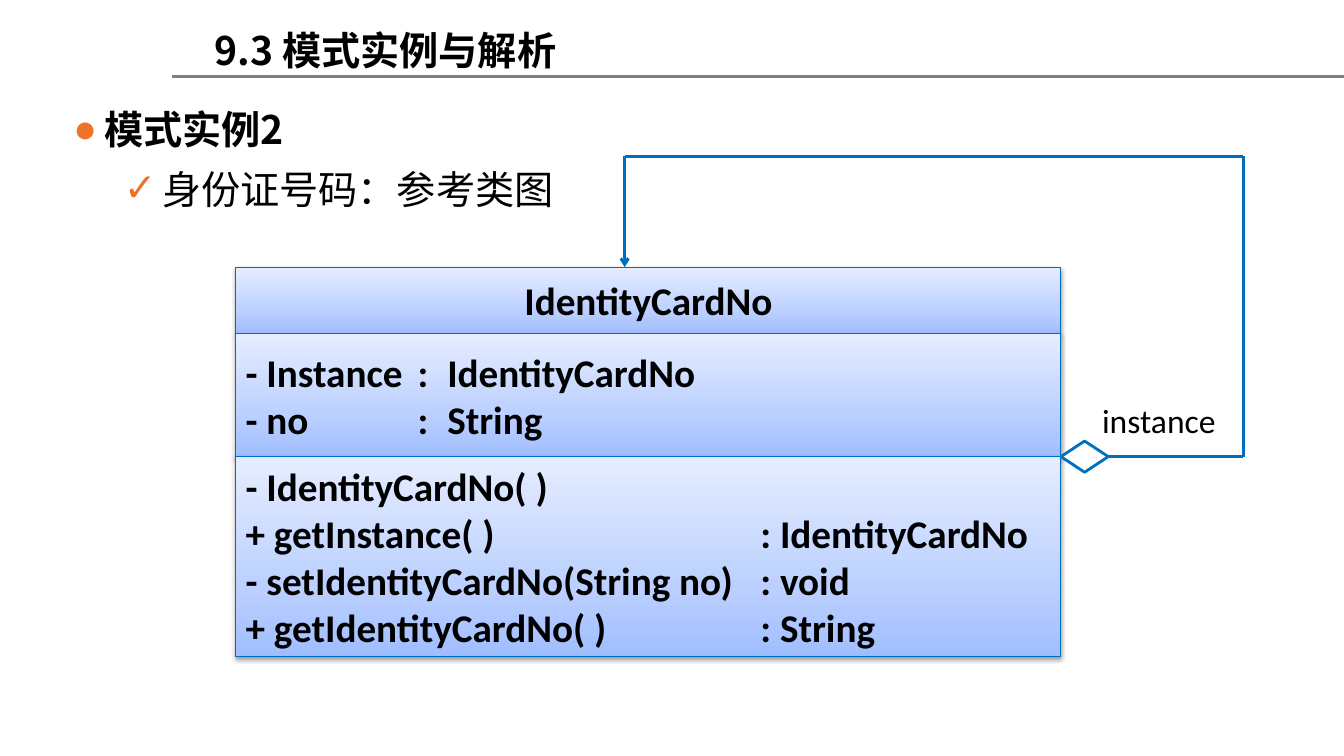
from dataclasses import dataclass
from itertools import pairwise

from pptx import Presentation
from pptx.dml.color import RGBColor
from pptx.enum.shapes import MSO_CONNECTOR, MSO_SHAPE
from pptx.enum.text import MSO_ANCHOR, MSO_AUTO_SIZE, PP_ALIGN
from pptx.oxml import parse_xml
from pptx.oxml.ns import nsdecls, qn
from pptx.util import Inches, Pt

W, H = Inches(13.34), Inches(7.5)


@dataclass(frozen=True)
class Theme:
    ink: str = "000000"
    paper: str = "FFFFFF"
    rule: str = "808080"
    accent: str = "EC7328"
    blue: str = "006EBC"
    diamond: str = "0070C0"
    gradient: tuple = ((0, "A0BEFF"), (35, "BCD0FF"), (100, "E5EDFF"))
    cjk: str = "Noto Sans CJK SC"
    latin: str = "Calibri"
    size: int = 28
    label_size: int = 24
    stroke: float = 2
    border: float = 0.75


T = Theme()

# Class box and link, in percent of the slide's width or height
CARD_X, CARD_W = 17.54, 61.4
CARD_TOP = 35.33
LINK_X, LINK_RIGHT, LINK_TOP = 46.48, 92.5, 20.67
DIAMOND_W, DIAMOND_H = 3.52, 4.13

COMPARTMENTS = [
    (8.8, PP_ALIGN.CENTER, [], ["IdentityCardNo"]),
    (16.27, PP_ALIGN.LEFT, [12.8, 15],
     ["- Instance\t:\tIdentityCardNo", "- no\t:\tString"]),
    (26.4, PP_ALIGN.LEFT, [38.3],
     ["- IdentityCardNo( )", "+ getInstance( )\t: IdentityCardNo",
      "- setIdentityCardNo(String no)\t: void", "+ getIdentityCardNo( )\t: String"]),
]


def x(share):
    """Percent of the slide's width."""
    return round(W * share / 100)


def y(share):
    """Percent of the slide's height."""
    return round(H * share / 100)


def box(left, top, width, height):
    return x(left), y(top), x(width), y(height)


def move(sp, *shares):
    sp.left, sp.top, sp.width, sp.height = box(*shares)


def add_xml(parent, xml, index=None):
    """Put an element given as text, with the a: prefix, into parent."""
    tag, rest = xml[:-len(xml.lstrip("<a:abcdefghijklmnopqrstuvwxyzABCDEFGHIJKLMNOPQRSTUVWXYZ"))
                    or None], xml.lstrip("<a:abcdefghijklmnopqrstuvwxyzABCDEFGHIJKLMNOPQRSTUVWXYZ")
    el = parse_xml(f"{tag} {nsdecls('a')}{rest}")
    parent.insert(len(parent) if index is None else index, el)


def style(p, font=T.latin, size=T.size, bold=True):
    f = p.font
    f.name, f.size, f.bold = font, Pt(size), bold
    f.color.rgb = RGBColor.from_string(T.ink)
    add_xml(p._p.pPr.find(qn("a:defRPr")), f'<a:ea typeface="{font}"/>')


def write(tf, lines, align=PP_ALIGN.LEFT, tabs=(), **font):
    tf.word_wrap = True
    for i, line in enumerate(lines):
        p = tf.paragraphs[0] if i == 0 else tf.add_paragraph()
        p.text, p.alignment = line, align
        if tabs:
            stops = "".join(f'<a:tab pos="{x(t)}" algn="l"/>' for t in tabs)
            add_xml(p._p.get_or_add_pPr(), f"<a:tabLst>{stops}</a:tabLst>")
        style(p, **font)


def add_bullet(p, char, margin, hang):
    pPr = p._p.get_or_add_pPr()
    pPr.set("marL", str(x(margin)))
    pPr.set("indent", str(-x(hang)))
    add_xml(pPr, f'<a:buClr><a:srgbClr val="{T.accent}"/></a:buClr>')
    add_xml(pPr, f'<a:buChar char="{char}"/>')


def fill_title(sp):
    move(sp, 15.22, 2.8, 56.67, 7.6)
    tf = sp.text_frame
    tf.auto_size, tf.vertical_anchor = MSO_AUTO_SIZE.NONE, MSO_ANCHOR.MIDDLE
    write(tf, ["9.3 模式实例与解析"], font=T.cjk)


def fill_body(sp):
    move(sp, 4.72, 14.5, 91.38, 17.07)
    tf = sp.text_frame
    tf.auto_size, tf.word_wrap = MSO_AUTO_SIZE.NONE, True
    items = [("模式实例2", "●", 2.3, 2.3, 0.8, 0, True),
             ("身份证号码：参考类图", "✓", 6.6, 2.85, 1.12, 5, False)]
    for level, (text, char, margin, hang, spacing, before, bold) in enumerate(items):
        p = tf.add_paragraph() if level else tf.paragraphs[0]
        p.text, p.level = text, level
        p.line_spacing, p.space_before = spacing, Pt(before)
        add_bullet(p, char, margin, hang)
        style(p, font=T.cjk, bold=bold)


def add_line(s, start, end, color=T.blue, arrow=False):
    c = s.shapes.add_connector(MSO_CONNECTOR.STRAIGHT, x(start[0]), y(start[1]),
                               x(end[0]), y(end[1]))
    c.line.color.rgb = RGBColor.from_string(color)
    c.line.width = Pt(T.stroke)
    if arrow:
        add_xml(c.line._get_or_add_ln(), '<a:tailEnd type="arrow"/>')
    add_xml(c._element.spPr, "<a:effectLst/>")


def add_compartment(s, top, height, align, tabs, lines):
    sp = s.shapes.add_shape(MSO_SHAPE.RECTANGLE, *box(CARD_X, top, CARD_W, height))
    sp.line.color.rgb = RGBColor.from_string(T.blue)
    sp.line.width = Pt(T.border)
    spPr = sp._element.spPr
    stops = "".join(f'<a:gs pos="{pos * 1000}"><a:srgbClr val="{color}"/></a:gs>'
                    for pos, color in T.gradient)
    add_xml(spPr, f'<a:gradFill><a:gsLst>{stops}</a:gsLst>'
                  '<a:lin ang="16200000" scaled="0"/></a:gradFill>', 2)
    add_xml(spPr, f'<a:effectLst><a:outerShdw blurRad="{Pt(3.1)}" dist="{Pt(1.6)}" '
                  f'dir="5400000" rotWithShape="0"><a:srgbClr val="{T.ink}">'
                  '<a:alpha val="38000"/></a:srgbClr></a:outerShdw></a:effectLst>')
    sp.text_frame.vertical_anchor = MSO_ANCHOR.MIDDLE
    write(sp.text_frame, lines, align, tabs)


def add_class_box(s):
    top = CARD_TOP
    for height, *content in COMPARTMENTS:
        add_compartment(s, top, height, *content)
        top += height


def add_self_link(s):
    """Aggregation from the class box back to its own top edge."""
    right = CARD_X + CARD_W
    mid = CARD_TOP + sum(c[0] for c in COMPARTMENTS[:2])
    route = [(right + DIAMOND_W, mid), (LINK_RIGHT, mid), (LINK_RIGHT, LINK_TOP),
             (LINK_X, LINK_TOP), (LINK_X, CARD_TOP)]
    for start, end in pairwise(route):
        add_line(s, start, end, arrow=end == route[-1])

    sp = s.shapes.add_shape(MSO_SHAPE.DIAMOND,
                            *box(right, mid - DIAMOND_H / 2, DIAMOND_W, DIAMOND_H))
    sp.shadow.inherit = False
    sp.fill.solid()
    sp.fill.fore_color.rgb = RGBColor.from_string(T.paper)
    sp.line.color.rgb = RGBColor.from_string(T.diamond)
    sp.line.width = Pt(T.stroke)

    label = s.shapes.add_textbox(*box(81.26, 52.27, 10.64, 6.67))
    write(label.text_frame, ["instance"], size=T.label_size, bold=False)


def main():
    prs = Presentation()
    prs.slide_width, prs.slide_height = W, H
    s = prs.slides.add_slide(prs.slide_layouts[1])
    add_line(s, (12.82, 10.13), (100, 10.13), T.rule)
    fill_title(s.shapes.title)
    fill_body(s.placeholders[1])
    add_class_box(s)
    add_self_link(s)
    prs.save("out.pptx")


if __name__ == "__main__":
    main()
